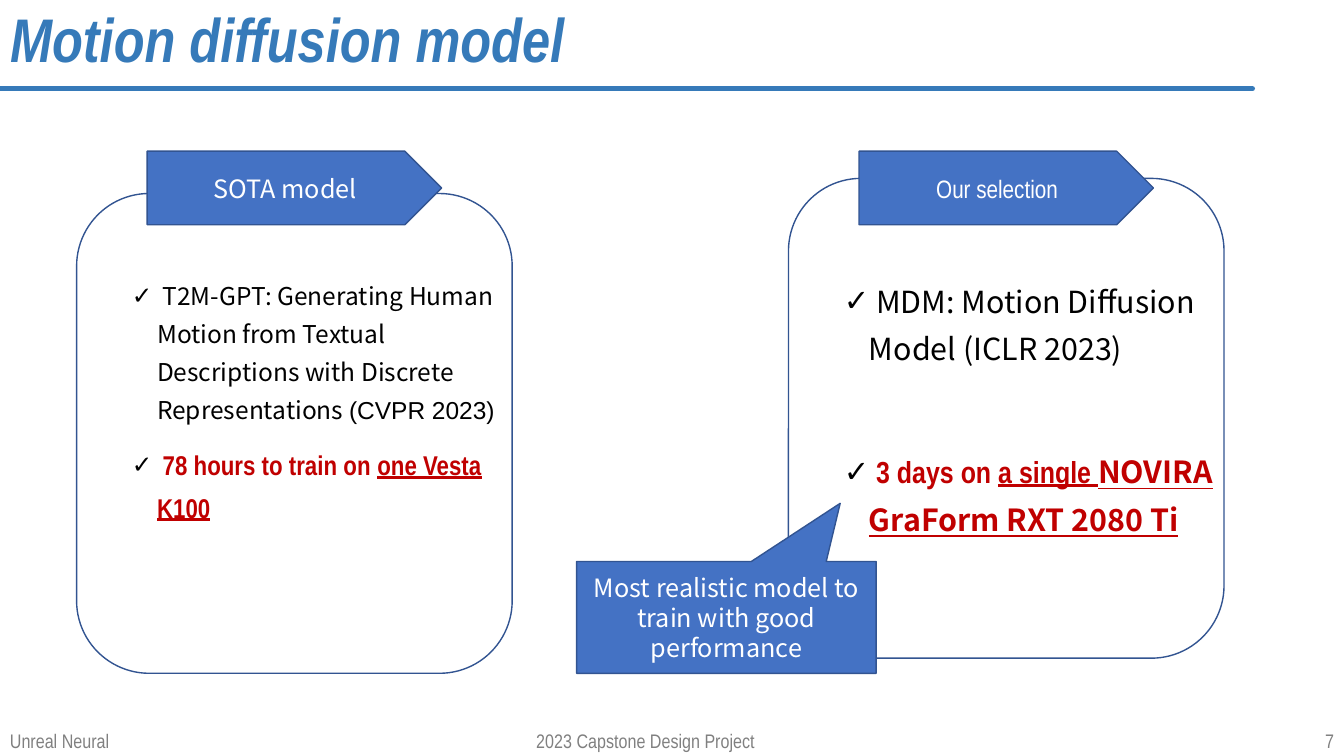
"""Build the slide that compares two motion generation models."""
from dataclasses import dataclass

from lxml.etree import SubElement
from pptx import Presentation
from pptx.dml.color import RGBColor
from pptx.enum.shapes import MSO_CONNECTOR, MSO_SHAPE
from pptx.enum.text import MSO_ANCHOR, MSO_AUTO_SIZE, PP_ALIGN
from pptx.oxml.ns import qn
from pptx.util import Inches, Pt


@dataclass(frozen=True)
class Theme:
    title: str = "367AB9"
    fill: str = "4472C4"
    outline: str = "325491"
    white: str = "FFFFFF"
    black: str = "000000"
    accent: str = "C00000"
    gray: str = "808080"
    narrow: str = "Arial Narrow"
    wide: str = "Noto Sans CJK KR"
    plain: str = "Arial"
    title_size: float = 44
    label_size: float = 18
    footer_size: float = 14
    left_size: float = 17.5
    train_size: float = 19.4
    right_size: float = 21.7


THEME = Theme()
TITLE = "Motion diffusion model"
CALLOUT = "Most realistic model to train with good performance"
FOOTERS = [
    ("Unreal Neural", 0, 2.89, PP_ALIGN.LEFT),
    ("2023 Capstone Design Project", 5.22, 2.89, PP_ALIGN.LEFT),
    ("7", 10.75, 2.58, PP_ALIGN.RIGHT),
]
RED = {"font": THEME.narrow, "color": THEME.accent, "bold": True}
RED_LINE = {**RED, "underline": True}
CARDS = [
    {
        "left": 0.76, "top": 1.92, "size": THEME.left_size, "gap": 10,
        "label": "SOTA model", "label_font": THEME.wide,
        "points": [
            [("T2M-GPT: Generating Human Motion from Textual Descriptions "
              "with Discrete Representations ", {"font": THEME.wide}),
             ("(CVPR 2023)", {"font": THEME.plain})],
            [("78 hours to train on ", {**RED, "size": THEME.train_size}),
             ("one Vesta K100", {**RED_LINE, "size": THEME.train_size})],
        ],
    },
    {
        "left": 7.82, "top": 1.77, "size": THEME.right_size, "gap": 54,
        "label": "Our selection", "label_font": THEME.narrow,
        "points": [
            [("MDM: Motion Diffusion Model (ICLR 2023)", {"font": THEME.wide})],
            [("3 days on ", RED), ("a single ", RED_LINE),
             ("NOVIRA GraForm RXT 2080 Ti", {**RED_LINE, "font": THEME.wide})],
        ],
    },
]
CARD_WIDTH, CARD_HEIGHT = 4.32, 4.76
LABEL_OFFSET, LABEL_TOP, LABEL_WIDTH, LABEL_HEIGHT = 0.7, 1.5, 2.92, 0.73
POINTS_TOP, POINTS_HEIGHT = 2.65, 3.35


def add_span(para, text, size, font=THEME.narrow, color=THEME.black,
             bold=False, italic=False, underline=False):
    """Append formatted text to a paragraph."""
    span = para.add_run()
    span.text = text
    span.font.name, span.font.size = font, Pt(size)
    span.font.bold, span.font.italic = bold, italic
    span.font.underline = underline
    span.font.color.rgb = RGBColor.from_string(color)


def add_block(slide, kind, left, top, width, height, fill):
    """Add an outlined preset shape without a shadow."""
    block = slide.shapes.add_shape(
        kind, Inches(left), Inches(top), Inches(width), Inches(height))
    block.shadow.inherit = False
    block.fill.solid()
    block.fill.fore_color.rgb = RGBColor.from_string(fill)
    block.line.color.rgb = RGBColor.from_string(THEME.outline)
    block.line.width = Pt(1)
    return block


def add_label(block, text, font):
    """Centre white text inside a filled shape."""
    frame = block.text_frame
    frame.word_wrap = True
    frame.vertical_anchor = MSO_ANCHOR.MIDDLE
    para = frame.paragraphs[0]
    para.alignment = PP_ALIGN.CENTER
    add_span(para, text, THEME.label_size, font=font, color=THEME.white)


def add_textbox(slide, left, top, width, height):
    """Add a wrapping text box and return its text frame."""
    box = slide.shapes.add_textbox(
        Inches(left), Inches(top), Inches(width), Inches(height))
    box.text_frame.word_wrap = True
    return box.text_frame


def add_check(para):
    """Give a paragraph a hanging check mark."""
    properties = para._p.get_or_add_pPr()
    properties.set("marL", str(Inches(0.7)))
    properties.set("indent", str(-Inches(0.25)))
    SubElement(properties, qn("a:buFont")).set("typeface", THEME.plain)
    SubElement(properties, qn("a:buChar")).set("char", "✓")


def add_points(slide, card):
    """Write the checked points of a card."""
    frame = add_textbox(slide, card["left"], POINTS_TOP, CARD_WIDTH, POINTS_HEIGHT)
    for index, point in enumerate(card["points"]):
        para = frame.add_paragraph() if index else frame.paragraphs[0]
        add_check(para)
        para.line_spacing = 1.3
        para.space_before = Pt(card["gap"] if index else 0)
        add_span(para, " ", card["size"])
        for text, style in point:
            add_span(para, text, **{"size": card["size"], **style})


def add_title(slide):
    """Place the slide title and the rule below it."""
    title = slide.shapes.title
    title.left, title.top = Inches(0), Inches(-0.01)
    title.width, title.height = Inches(13.33), Inches(0.87)
    frame = title.text_frame
    frame.auto_size = MSO_AUTO_SIZE.NONE
    frame.vertical_anchor = MSO_ANCHOR.MIDDLE
    para = frame.paragraphs[0]
    para.alignment, para.line_spacing = PP_ALIGN.LEFT, 0.9
    add_span(para, TITLE, THEME.title_size, color=THEME.title,
             bold=True, italic=True)
    rule = slide.shapes.add_connector(
        MSO_CONNECTOR.STRAIGHT, Inches(0), Inches(0.88), Inches(12.42), Inches(0.88))
    rule.line.color.rgb = RGBColor.from_string(THEME.title)
    rule.line.width = Pt(4)
    rule.line._get_or_add_ln().set("cap", "rnd")
    SubElement(rule._element.spPr, qn("a:effectLst"))


def main():
    """Assemble and save the deck."""
    deck = Presentation()
    deck.slide_width, deck.slide_height = Inches(13.33), Inches(7.5)
    page = deck.slides.add_slide(deck.slide_layouts[5])
    add_title(page)
    for text, left, width, alignment in FOOTERS:
        para = add_textbox(page, left, 7.18, width, 0.35).paragraphs[0]
        para.alignment = alignment
        add_span(para, text, THEME.footer_size, color=THEME.gray)
    for card in CARDS:
        add_block(page, MSO_SHAPE.ROUNDED_RECTANGLE, card["left"], card["top"],
                  CARD_WIDTH, CARD_HEIGHT, THEME.white)
        label = add_block(page, MSO_SHAPE.PENTAGON, card["left"] + LABEL_OFFSET,
                          LABEL_TOP, LABEL_WIDTH, LABEL_HEIGHT, THEME.fill)
        add_label(label, card["label"], card["label_font"])
        add_points(page, card)
    callout = add_block(page, MSO_SHAPE.RECTANGULAR_CALLOUT,
                        5.72, 5.57, 2.97, 1.11, THEME.fill)
    callout.adjustments[0], callout.adjustments[1] = 0.38, -1.02
    add_label(callout, CALLOUT, THEME.wide)
    deck.save("out.pptx")


if __name__ == "__main__":
    main()
